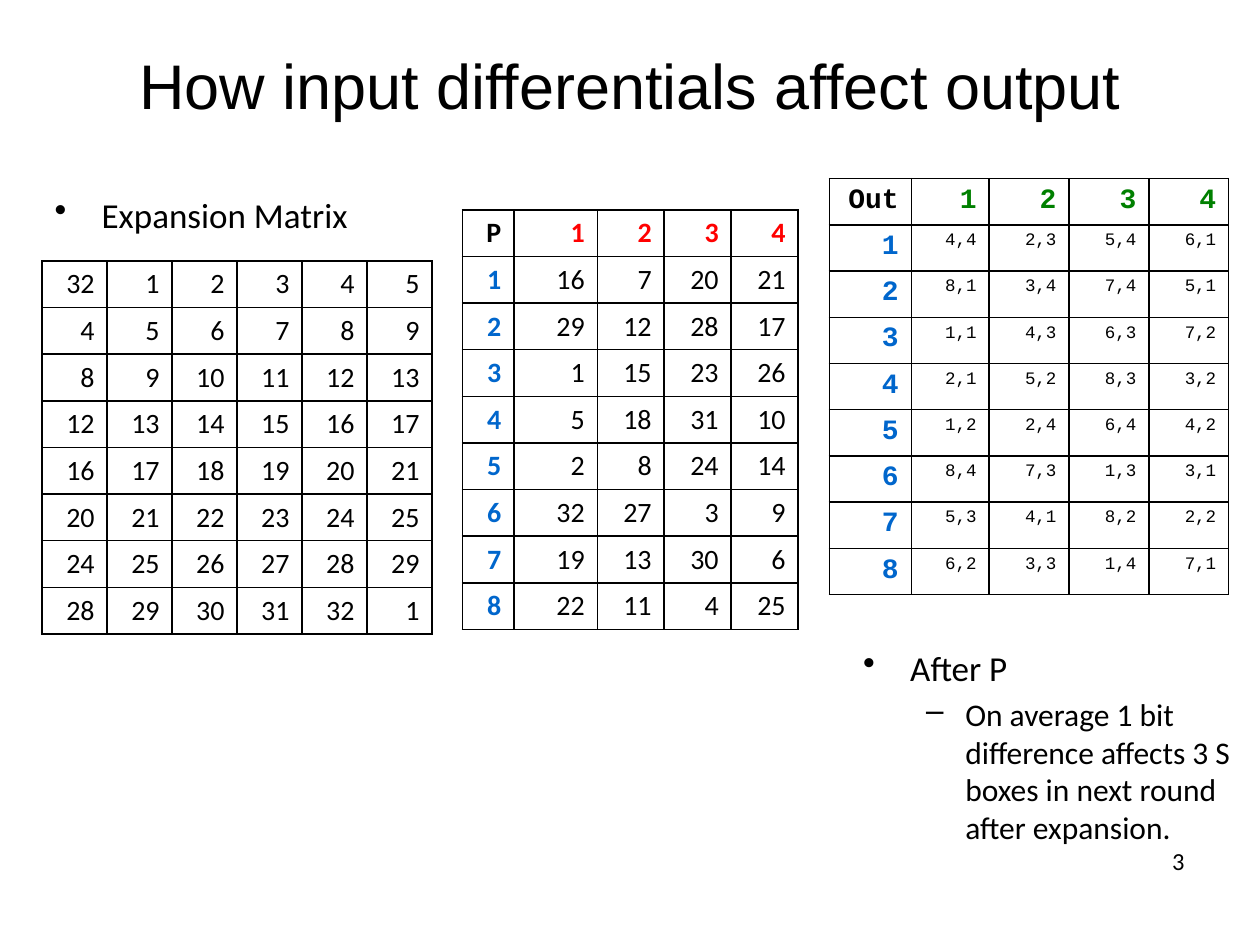
"""Build a slide on how input differentials affect output through three matrices."""
from dataclasses import dataclass

import pptx
import pptx.dml.color
import pptx.enum.text
import pptx.oxml
import pptx.oxml.ns
import pptx.util
from pptx.util import Cm, Pt

ALIGN = pptx.enum.text.PP_ALIGN
ANCHOR = pptx.enum.text.MSO_ANCHOR


@dataclass(frozen=True)
class Theme:
    ink: str = "000000"
    paper: str = "FFFFFF"
    row_label: str = "0066CC"
    permutation_label: str = "FF0000"
    output_label: str = "008000"
    heading_font: str = "Arial"
    body_font: str = "Calibri"
    code_font: str = "Courier New"
    title_size: int = 36
    point_size: int = 20
    detail_size: int = 18
    cell_size: int = 16
    number_size: int = 14
    pair_size: int = 10
    border: int = 1


THEME = Theme()

PERMUTATION = [
    [16, 7, 20, 21], [29, 12, 28, 17], [1, 15, 23, 26], [5, 18, 31, 10],
    [2, 8, 24, 14], [32, 27, 3, 9], [19, 13, 30, 6], [22, 11, 4, 25],
]
OUTPUT = [
    "4,4 2,3 5,4 6,1", "8,1 3,4 7,4 5,1", "1,1 4,3 6,3 7,2", "2,1 5,2 8,3 3,2",
    "1,2 2,4 6,4 4,2", "8,4 7,3 1,3 3,1", "5,3 4,1 8,2 2,2", "6,2 3,3 1,4 7,1",
]


def write(paragraph, text, *, size, font=THEME.body_font, color=THEME.ink,
          bold=False, align=ALIGN.LEFT):
    """Add text to a paragraph in the given format."""
    paragraph.alignment = align
    run = paragraph.add_run()
    run.text = str(text)
    run.font.size = Pt(size)
    run.font.name = font
    run.font.bold = bold
    run.font.color.rgb = pptx.dml.color.RGBColor.from_string(color)


def add_frame(slide, left, top, width, height, anchor=ANCHOR.TOP):
    """Add a wrapping text box and return its text frame."""
    box = slide.shapes.add_textbox(Cm(left), Cm(top), Cm(width), Cm(height))
    box.text_frame.word_wrap = True
    box.text_frame.vertical_anchor = anchor
    return box.text_frame


def set_bullet(paragraph, mark, margin, hang):
    """Give a paragraph a bullet mark with a hanging indent."""
    properties = paragraph._p.get_or_add_pPr()
    properties.set("marL", str(Cm(margin)))
    properties.set("indent", str(-Cm(hang)))
    bullet = pptx.oxml.parse_xml(
        f'<a:buChar {pptx.oxml.ns.nsdecls("a")} char="{mark}"/>')
    properties.append(bullet)


def add_point(slide, left, top, width, height, point, detail=None):
    """Add a bulleted point with an optional detail below it."""
    frame = add_frame(slide, left, top, width, height)
    lead = frame.paragraphs[0]
    set_bullet(lead, "•", 0.95, 0.95)
    write(lead, point, size=THEME.point_size)
    if detail:
        support = frame.add_paragraph()
        support.level = 1
        set_bullet(support, "–", 2.06, 0.79)
        support.space_before = Pt(3.6)
        write(support, detail, size=THEME.detail_size)


def set_borders(cell):
    """Draw a thin line on all four sides of a cell."""
    properties = cell._tc.get_or_add_tcPr()
    for side in ("lnL", "lnR", "lnT", "lnB"):
        properties.append(pptx.oxml.parse_xml(
            f'<a:{side} {pptx.oxml.ns.nsdecls("a")} w="{Pt(THEME.border)}">'
            f'<a:solidFill><a:srgbClr val="{THEME.ink}"/></a:solidFill></a:{side}>'))


def add_matrix(slide, left, top, widths, row_height, rows, cell_format):
    """Add a bordered table whose format comes from each cell's position."""
    matrix = slide.shapes.add_table(
        len(rows), len(widths), Cm(left), Cm(top),
        Cm(sum(widths)), Cm(row_height * len(rows))).table
    matrix.first_row = matrix.horz_banding = False
    for column, width in zip(matrix.columns, widths):
        column.width = Cm(width)
    for r, values in enumerate(rows):
        matrix.rows[r].height = Cm(row_height)
        for c, value in enumerate(values):
            cell = matrix.cell(r, c)
            set_borders(cell)
            cell.fill.solid()
            cell.fill.fore_color.rgb = pptx.dml.color.RGBColor.from_string(THEME.paper)
            write(cell.text_frame.paragraphs[0], value, align=ALIGN.RIGHT,
                  **cell_format(r, c))


def with_labels(corner, body):
    """Put numbered row and column labels around the body of a matrix."""
    header = [corner, *range(1, len(body[0]) + 1)]
    return [header] + [[n, *values] for n, values in enumerate(body, 1)]


def labelled_format(column_color, font, body_size):
    """Return a format rule for a matrix with coloured bold labels."""
    def cell_format(r, c):
        """Choose the format of one cell."""
        if r and c:
            return dict(size=body_size, font=font)
        color = THEME.row_label if r else column_color if c else THEME.ink
        return dict(size=THEME.cell_size, font=font, color=color, bold=True)
    return cell_format


def main():
    """Build and save the slide."""
    deck = pptx.Presentation()
    deck.slide_width, deck.slide_height = Cm(25.4), Cm(19.05)
    slide = deck.slides.add_slide(deck.slide_layouts[6])

    title = add_frame(slide, 1.9, 0.64, 21.6, 2.12, ANCHOR.MIDDLE)
    write(title.paragraphs[0], "How input differentials affect output",
          size=THEME.title_size, font=THEME.heading_font, align=ALIGN.CENTER)

    add_point(slide, 0.85, 3.77, 7.2, 1.69, "Expansion Matrix")
    expansion = [[(4 * r + c - 1) % 32 + 1 for c in range(6)] for r in range(8)]
    add_matrix(slide, 0.85, 5.26, [1.31] * 6, 0.94, expansion,
               lambda r, c: dict(size=THEME.cell_size))

    add_matrix(slide, 9.32, 4.23, [1.04, 1.68] + [1.35] * 3, 0.94,
               with_labels("P", PERMUTATION),
               labelled_format(THEME.permutation_label, THEME.body_font, THEME.cell_size))
    add_matrix(slide, 16.72, 3.6, [1.65, 1.57] + [1.61] * 3, 0.92,
               with_labels("Out", [pairs.split() for pairs in OUTPUT]),
               labelled_format(THEME.output_label, THEME.code_font, THEME.pair_size))

    add_point(slide, 17.15, 12.91, 8.25, 2.54, "After P",
              "On average 1 bit difference affects 3 S boxes in next round "
              "after expansion.")

    page = add_frame(slide, 16.09, 16.93, 8.04, 1.27)
    write(page.paragraphs[0], "3", size=THEME.number_size, align=ALIGN.RIGHT)
    deck.save("out.pptx")


if __name__ == "__main__":
    main()
